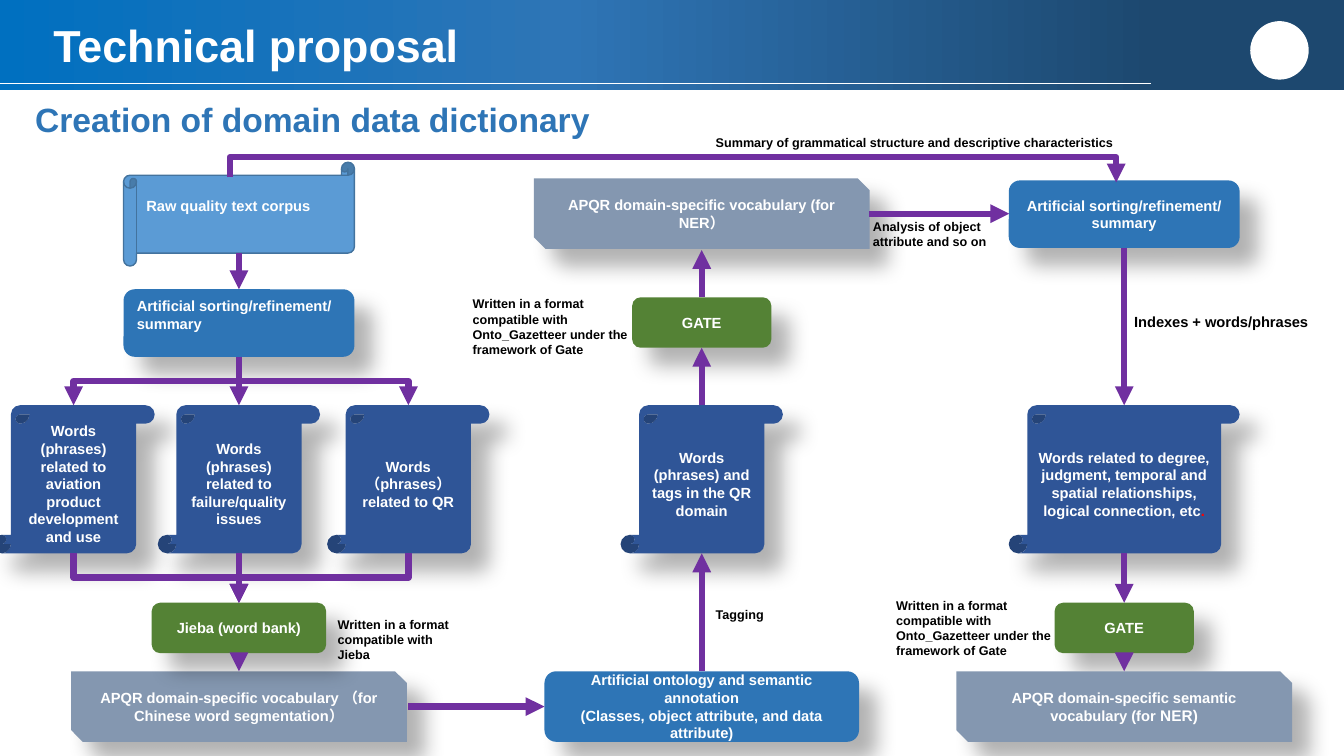
from lxml import etree
from pptx import Presentation
from pptx import util as u
from pptx.dml.color import RGBColor
from pptx.enum import shapes, text
from pptx.oxml import parse_xml
from pptx.oxml.ns import nsdecls, qn

COLORS = {
    "white": "FFFFFF", "black": "000000", "red": "FF0000", "arrow": "7030A0",
    "navy": "1D486F", "blue": "2E75B6", "bright": "0070C0",
    "corpus": "5B9BD5", "corpus_edge": "43739E",
    "words": "2F5597", "vocabulary": "8497B0", "tool": "548235",
}
PRESET = shapes.MSO_SHAPE
# Node kind: preset, fill, width, height
KINDS = {
    "corpus": (PRESET.HORIZONTAL_SCROLL, "corpus", 2.29, 1.03),
    "step": (PRESET.ROUNDED_RECTANGLE, "blue", 2.29, 0.67),
    "words": (PRESET.VERTICAL_SCROLL, "words", 1.61, 1.47),
    "tool": (PRESET.ROUNDED_RECTANGLE, "tool", 1.38, 0.5),
    "vocabulary": (PRESET.SNIP_2_DIAG_RECTANGLE, "vocabulary", 3.33, 0.7),
}
# Column centres and row edges
LEFT, MIDDLE, RIGHT = 2.37, 6.96, 11.15
PRODUCT, QR = 0.73, 4.05
WORDS_TOP, WORDS_END = 4.02, 5.49
TOOL_TOP, TOOL_END, BOTTOM = 5.98, 6.48, 6.66


def rgb(name):
    return RGBColor.from_string(COLORS[name])


def format_run(run, size, color):
    run.font.name = "Arial"
    run.font.size = u.Pt(size)
    run.font.bold = True
    run.font.color.rgb = rgb(color)


def write(frame, words, size, color, align=text.PP_ALIGN.LEFT):
    frame.text = words
    for paragraph in frame.paragraphs:
        paragraph.alignment = align
        for run in paragraph.runs:
            format_run(run, size, color)


def add_filled(slide, preset, box, color):
    shape = slide.shapes.add_shape(preset, *map(u.Inches, box))
    shape.shadow.inherit = False
    shape.fill.solid()
    shape.fill.fore_color.rgb = rgb(color)
    shape.line.fill.background()
    return shape


def add_shadow(shape):
    effects = shape._element.spPr.find(qn("a:effectLst"))
    effects.append(parse_xml(
        f'<a:outerShdw {nsdecls("a")} blurRad="{u.Pt(15)}" dist="{u.Pt(18)}" '
        f'dir="2700000" algn="tl" rotWithShape="0"><a:srgbClr val="{COLORS["black"]}">'
        '<a:alpha val="30000"/></a:srgbClr></a:outerShdw>'))


def add_node(slide, kind, center, top, words, width=None, height=None,
             align=text.PP_ALIGN.CENTER):
    preset, color, kind_width, kind_height = KINDS[kind]
    width, height = width or kind_width, height or kind_height
    node = add_filled(slide, preset, (center - width / 2, top, width, height), color)
    frame = node.text_frame
    frame.word_wrap = True
    frame.vertical_anchor = text.MSO_ANCHOR.MIDDLE
    write(frame, words, 10.5, "white", align)
    if align == text.PP_ALIGN.LEFT:
        frame.margin_bottom = u.Inches(0.22)
    if kind == "corpus":
        node.line.color.rgb = rgb("corpus_edge")
        node.line.width = u.Pt(1)
    else:
        add_shadow(node)
    return node


def add_ending(node, words, size, color):
    run = node.text_frame.paragraphs[-1].add_run()
    run.text = words
    format_run(run, size, color)


def add_line(slide, start, end, color, weight, kind=shapes.MSO_CONNECTOR.STRAIGHT):
    line = slide.shapes.add_connector(kind, *map(u.Inches, (*start, *end)))
    line.line.color.rgb = rgb(color)
    line.line.width = u.Pt(weight)
    etree.SubElement(line._element.spPr, qn("a:effectLst"))
    return line


def add_arrow(slide, start, end, kind=shapes.MSO_CONNECTOR.STRAIGHT):
    arrow = add_line(slide, start, end, "arrow", 4.5, kind)
    outline = arrow.line._get_or_add_ln()
    etree.SubElement(outline, qn("a:tailEnd"), type="triangle")
    return arrow


def add_bent_arrow(slide, start, end, bend_y):
    """Vertical, horizontal, vertical; the middle leg runs at bend_y."""
    (x1, y1), (x2, y2) = start, end
    drop, across = y2 - y1, abs(x2 - x1)
    left, top = (x1 + x2 - drop) / 2, (y1 + y2 - across) / 2
    arrow = add_arrow(slide, (left, top), (left + drop, top + across),
                      shapes.MSO_CONNECTOR.ELBOW)
    props = arrow._element.spPr
    frame = props.find(qn("a:xfrm"))
    frame.set("rot", str((90 if x2 < x1 else 270) * 60000))
    if x2 > x1:
        frame.set("flipH", "1")
    geometry = props.find(qn("a:prstGeom"))
    guides = geometry.find(qn("a:avLst"))
    if guides is None:
        guides = etree.SubElement(geometry, qn("a:avLst"))
    ratio = round((bend_y - y1) / drop * 100000)
    etree.SubElement(guides, qn("a:gd"), name="adj1", fmla=f"val {ratio}")


def add_label(slide, box, words, size=9, color="black", wrap=True):
    label = slide.shapes.add_textbox(*map(u.Inches, box))
    label.text_frame.word_wrap = wrap
    write(label.text_frame, words, size, color)
    return label


def add_header(slide):
    band = add_filled(slide, PRESET.RECTANGLE, (0, 0, 13.33, 0.89), "bright")
    stops = "".join(
        f'<a:gs pos="{pos * 1000}"><a:srgbClr val="{COLORS[name]}"/></a:gs>'
        for pos, name in ((0, "bright"), (42, "blue"), (86, "navy")))
    props = band._element.spPr
    props.replace(props.find(qn("a:solidFill")), parse_xml(
        f'<a:gradFill {nsdecls("a")} rotWithShape="1"><a:gsLst>{stops}</a:gsLst>'
        '<a:lin ang="0" scaled="0"/></a:gradFill>'))
    add_line(slide, (0, 0.83), (11.42, 0.83), "white", 0.5)
    add_filled(slide, PRESET.OVAL, (12.4, 0.21, 0.58, 0.58), "white")
    title = add_label(slide, (0.43, 0.24, 11.21, 0.48), "Technical proposal", 32, "white")
    title.text_frame.vertical_anchor = text.MSO_ANCHOR.MIDDLE
    title.text_frame.paragraphs[0].line_spacing = 0.9
    add_label(slide, (0.25, 0.93, 5.85, 0.5), "Creation of domain data dictionary",
              24, "blue", wrap=False)


def add_nodes(slide):
    sorting = "Artificial sorting/refinement/ summary"
    vocabulary = "APQR domain-specific "
    # Word segmentation column
    add_node(slide, "corpus", LEFT, 1.61, "Raw quality text corpus", align=text.PP_ALIGN.LEFT)
    add_node(slide, "step", LEFT, 2.87, sorting, align=text.PP_ALIGN.LEFT)
    for center, topic in ((PRODUCT, "(phrases) related to aviation product development and use"),
                          (LEFT, "(phrases) related to failure/quality issues"),
                          (QR, "（phrases） related to QR"),
                          (MIDDLE, "(phrases) and tags in the QR domain")):
        add_node(slide, "words", center, WORDS_TOP, "Words " + topic)
    add_node(slide, "vocabulary", LEFT, BOTTOM,
             vocabulary + "vocabulary （for Chinese word segmentation）")
    add_node(slide, "tool", LEFT, TOOL_TOP, "Jieba (word bank)", width=1.73)
    # Entity recognition column
    add_node(slide, "tool", MIDDLE, 2.95, "GATE")
    add_node(slide, "step", MIDDLE, BOTTOM,
             "Artificial ontology and semantic annotation\n"
             "(Classes, object attribute, and data attribute)", width=3.12, height=0.7)
    add_node(slide, "vocabulary", MIDDLE, 1.77, vocabulary + "vocabulary (for NER）")
    # Semantic vocabulary column
    add_node(slide, "step", RIGHT, 1.79, sorting)
    relations = add_node(slide, "words", RIGHT, WORDS_TOP,
                         "Words related to degree, judgment, temporal and spatial "
                         "relationships, logical connection, etc", width=2.29)
    add_ending(relations, ".", 10.5, "red")
    add_node(slide, "tool", RIGHT, TOOL_TOP, "GATE")
    semantic = add_node(slide, "vocabulary", RIGHT, BOTTOM,
                        vocabulary + "semantic vocabulary (for")
    add_ending(semantic, " NER)", 11, "white")


def add_flow(slide):
    for x, y1, y2 in ((LEFT, 2.51, 2.87), (LEFT, 3.54, WORDS_TOP),
                      (MIDDLE, BOTTOM, WORDS_END), (MIDDLE, WORDS_TOP, 3.45),
                      (MIDDLE, 2.95, 2.48), (RIGHT, 2.46, WORDS_TOP)):
        add_arrow(slide, (x, y1), (x, y2))
    for x in (LEFT, RIGHT):
        add_arrow(slide, (x, WORDS_END), (x, TOOL_TOP))
        add_arrow(slide, (x, TOOL_END), (x, BOTTOM))
    for x1, x2, y in ((4.05, 5.4, 7.01), (8.62, 10.01, 2.12)):
        add_arrow(slide, (x1, y), (x2, y))
    for side in (PRODUCT, QR):
        add_bent_arrow(slide, (LEFT, 3.54), (side, WORDS_TOP), 3.78)
        add_bent_arrow(slide, (side, WORDS_END), (LEFT, TOOL_TOP), 5.73)
    add_bent_arrow(slide, (2.28, 1.76), (11.07, 1.81), 1.56)


def add_notes_on_flow(slide):
    written = "Written in a format compatible with"
    gate_format = written + "\nOnto_Gazetteer under the framework of Gate"
    add_label(slide, (7, 5.97, 0.95, 0.25), "Tagging")
    add_label(slide, (3.25, 6.07, 1.41, 0.56), written + " Jieba")
    add_label(slide, (4.59, 2.89, 1.77, 0.71), gate_format)
    add_label(slide, (8.79, 5.88, 1.77, 0.86), gate_format)
    add_label(slide, (7, 1.29, 4.15, 0.25),
              "Summary of grammatical structure and descriptive characteristics")
    add_label(slide, (8.56, 2.12, 1.77, 0.4), "Analysis of object attribute and so on")
    add_label(slide, (11.15, 3.05, 2.15, 0.29), "Indexes + words/phrases", 10.5)


def main():
    deck = Presentation()
    deck.slide_width, deck.slide_height = u.Inches(13.33), u.Inches(7.5)
    slide = deck.slides.add_slide(deck.slide_layouts[6])
    add_header(slide)
    add_nodes(slide)
    add_flow(slide)
    add_notes_on_flow(slide)
    deck.save("out.pptx")


main()
